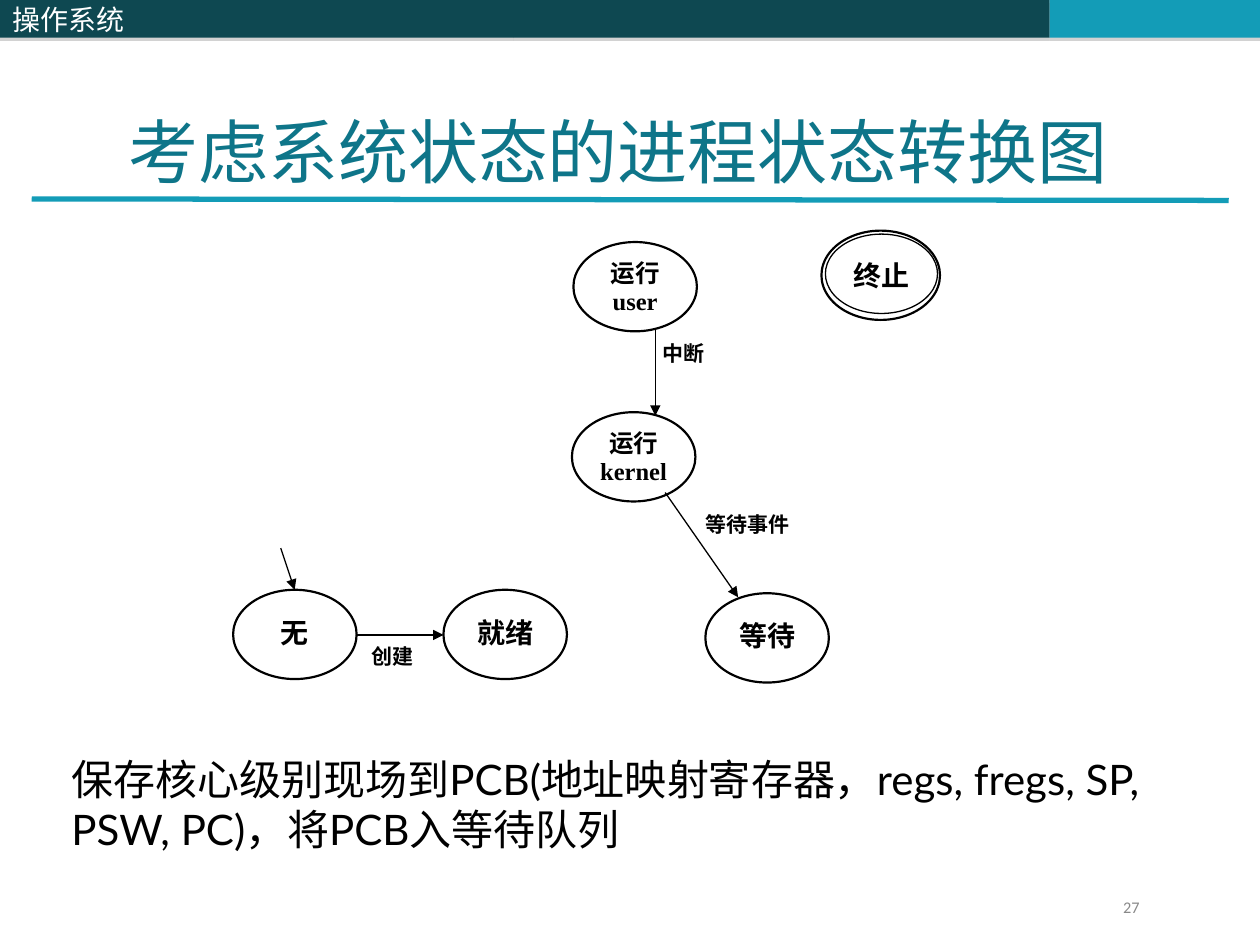
from dataclasses import dataclass
from typing import NamedTuple, Optional

from lxml.etree import SubElement
from pptx import Presentation
from pptx.dml.color import RGBColor
from pptx.enum.shapes import MSO_CONNECTOR as Connector, MSO_SHAPE as Preset
from pptx.enum.text import MSO_ANCHOR as Anchor, PP_ALIGN as Align
from pptx.oxml.ns import qn
from pptx.util import Cm, Pt

BLACK = RGBColor(0, 0, 0)
WHITE = RGBColor(255, 255, 255)
DARK_TEAL = RGBColor(0x0E, 0x48, 0x51)
TITLE_TEAL = RGBColor(0x0E, 0x75, 0x89)
CYAN = RGBColor(0x13, 0x9C, 0xB7)
GRAY = RGBColor(0x89, 0x89, 0x89)
SERIF = "Times New Roman"
CJK = "Noto Sans CJK SC"


class Box(NamedTuple):
    left: float
    top: float
    width: float
    height: float

    def lengths(self) -> list:
        return [Cm(value) for value in self]


class Insets(NamedTuple):
    left: float = 0.25
    top: float = 0.13
    right: float = 0.25
    bottom: float = 0.13


@dataclass(frozen=True)
class Style:
    size: float
    color: RGBColor = BLACK
    font: str = SERIF
    bold: bool = False
    align: Align = Align.LEFT
    spacing: Optional[float] = None
    insets: Insets = Insets()
    anchor: Anchor = Anchor.TOP


class Item(NamedTuple):
    text: str
    left: float
    top: float
    width: float = 2.49
    height: float = 1.8
    line_width: float = 1.25


class Segment(NamedTuple):
    start_x: float
    start_y: float
    end_x: float
    end_y: float


STATE = Style(16, bold=True, align=Align.CENTER, spacing=0.96, insets=Insets(0.1, 0.3, 0.1, 0.2))
RUNNING = Style(14, bold=True, align=Align.CENTER, spacing=0.96, insets=Insets(0.1, 0.1, 0.1, 0.1))
LABEL = Style(12, bold=True, align=Align.JUSTIFY, insets=Insets(0.05, 0.03, 0.05, 0.03))
HEADER = Style(16, WHITE, CJK, anchor=Anchor.MIDDLE)
TITLE = Style(40, TITLE_TEAL)
BODY = Style(24, font="Lato")
PAGE_NUMBER = Style(9.3, GRAY, "Calibri", align=Align.RIGHT, spacing=0.8, insets=Insets(right=2))

BAR_HEIGHT = 0.76
LABELS = [
    Item("等待事件", 14.17, 10.29, 2.03, 0.84, 0.75),
    Item("中断", 13.31, 6.83, 1.17, 0.84, 0.75),
    Item("创建", 7.44, 12.95, 1.22, 0.84, 0.75),
]
RUNNING_STATES = [Item("运行\nuser", 11.56, 4.88), Item("运行\nkernel", 11.53, 8.31)]
STATES = [
    Item("等待", 14.22, 11.96),
    Item("就绪", 8.94, 11.89),
    Item("无", 4.7, 11.89),
    Item("终止", 16.64, 4.72, 2.26, 1.6, 0.75),
]
TERMINAL_RING = Box(16.56, 4.65, 2.39, 1.8)
TRANSITIONS = [
    Segment(13.21, 6.63, 13.21, 8.38),
    Segment(13.41, 9.93, 14.88, 12.04),
    Segment(7.19, 12.8, 8.94, 12.8),
    Segment(5.66, 11.05, 5.94, 11.89),
]


def write_text(shape, text: str, style: Style) -> None:
    frame = shape.text_frame
    frame.word_wrap = True
    frame.vertical_anchor = style.anchor
    insets = [Cm(value) for value in style.insets]
    frame.margin_left, frame.margin_top, frame.margin_right, frame.margin_bottom = insets
    for index, line in enumerate(text.split("\n")):
        paragraph = frame.add_paragraph() if index else frame.paragraphs[0]
        paragraph.alignment = style.align
        if style.spacing:
            paragraph.line_spacing = style.spacing
        run = paragraph.add_run()
        run.text = line
        run.font.size = Pt(style.size)
        run.font.name = style.font
        run.font.bold = style.bold
        run.font.color.rgb = style.color
        SubElement(run.font._element, qn("a:ea"), typeface=CJK)


def add_text(slide, text: str, box: Box, style: Style) -> None:
    write_text(slide.shapes.add_textbox(*box.lengths()), text, style)


def add_figure(slide, preset: Preset, box: Box, fill: Optional[RGBColor],
               line: Optional[RGBColor] = None, line_width: float = 1.25):
    shape = slide.shapes.add_shape(preset, *box.lengths())
    shape.shadow.inherit = False
    if fill is None:
        shape.fill.background()
    else:
        shape.fill.solid()
        shape.fill.fore_color.rgb = fill
    if line is None:
        shape.line.fill.background()
    else:
        shape.line.color.rgb = line
        shape.line.width = Pt(line_width)
    return shape


def add_item(slide, item: Item, preset: Preset, line: RGBColor, style: Style) -> None:
    box = Box(item.left, item.top, item.width, item.height)
    shape = add_figure(slide, preset, box, WHITE, line, item.line_width)
    write_text(shape, item.text, style)


def add_bar(slide, left: float, width: float, color: RGBColor):
    bar = add_figure(slide, Preset.RECTANGLE, Box(left, 0, width, BAR_HEIGHT), color)
    effects = bar._element.spPr.find(qn("a:effectLst"))
    shadow = SubElement(effects, qn("a:outerShdw"), dist=str(Pt(1.8)), dir="5400000", rotWithShape="0")
    shade = SubElement(shadow, qn("a:srgbClr"), val="808080")
    SubElement(shade, qn("a:alpha"), val="35000")
    return bar


def add_line(slide, segment: Segment, color: RGBColor, width: float, arrow: bool = False) -> None:
    ends = [Cm(value) for value in segment]
    connector = slide.shapes.add_connector(Connector.STRAIGHT, *ends)
    connector.line.color.rgb = color
    connector.line.width = Pt(width)
    if arrow:
        SubElement(connector.line._get_or_add_ln(), qn("a:tailEnd"), type="triangle")
    SubElement(connector._element.spPr, qn("a:effectLst"))


def main() -> None:
    presentation = Presentation()
    presentation.slide_width, presentation.slide_height = Cm(25.4), Cm(19.05)
    slide = presentation.slides.add_slide(presentation.slide_layouts[6])

    add_bar(slide, 10.36, 10.8, DARK_TEAL)
    add_bar(slide, 21.16, 4.24, CYAN)
    add_line(slide, Segment(0.64, 4.01, 24.77, 4.04), CYAN, 3)
    write_text(add_bar(slide, 0, 10.36, DARK_TEAL), "操作系统", HEADER)

    for label in LABELS:
        add_item(slide, label, Preset.RECTANGLE, WHITE, LABEL)
    for states, style in ((RUNNING_STATES, RUNNING), (STATES, STATE)):
        for state in states:
            add_item(slide, state, Preset.OVAL, BLACK, style)
    for transition in TRANSITIONS:
        add_line(slide, transition, BLACK, 0.75, arrow=True)
    add_figure(slide, Preset.OVAL, TERMINAL_RING, None, BLACK)

    body = "保存核心级别现场到PCB(地址映射寄存器，regs, fregs, SP, PSW, PC)，将PCB入等待队列"
    add_text(slide, body, Box(1.19, 15.06, 23.22, 2.29), BODY)
    add_text(slide, "考虑系统状态的进程状态转换图", Box(2.34, 2.06, 20.88, 1.96), TITLE)
    add_text(slide, "27", Box(19.05, 18.03, 5.92, 0.69), PAGE_NUMBER)
    presentation.save("out.pptx")


if __name__ == "__main__":
    main()
